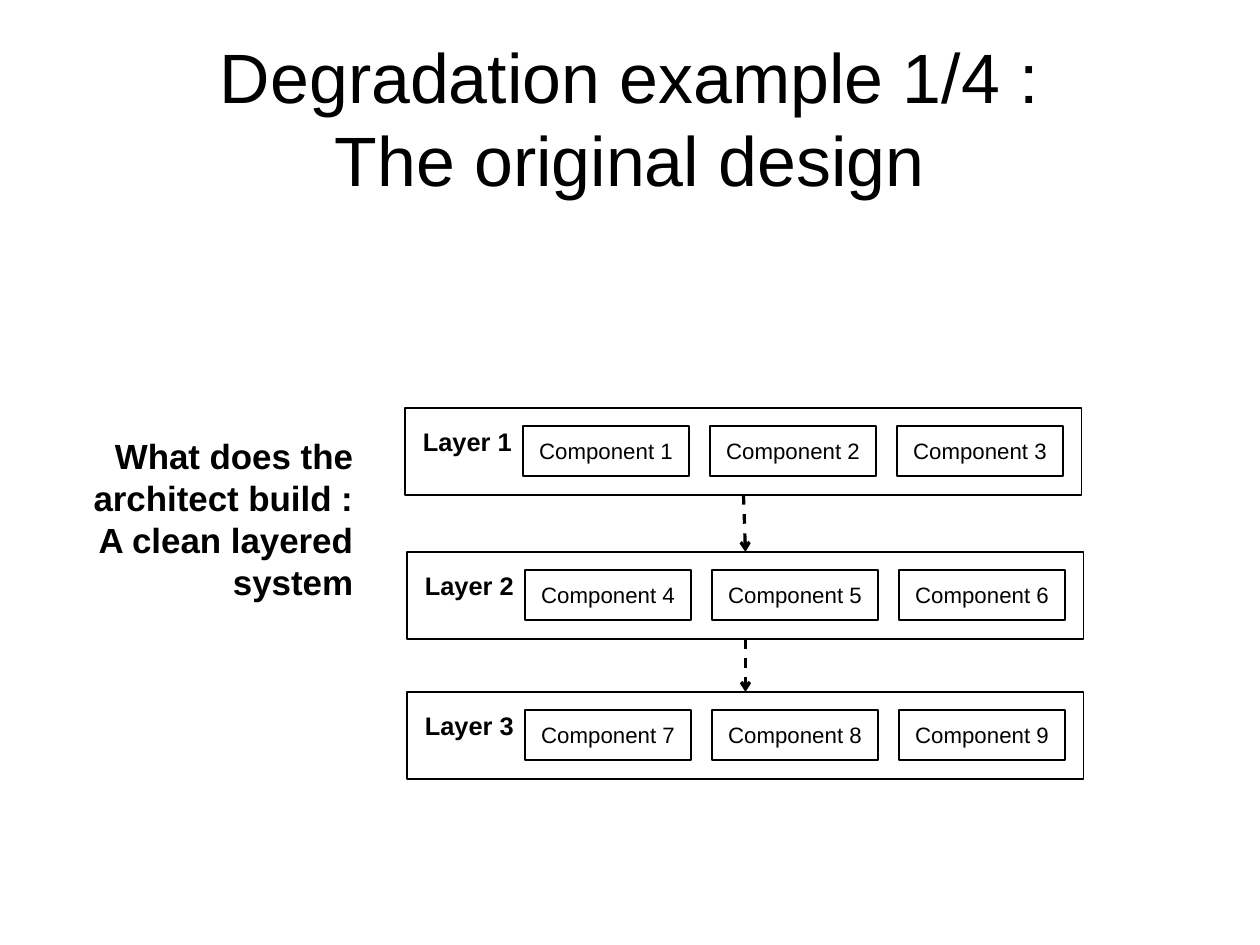
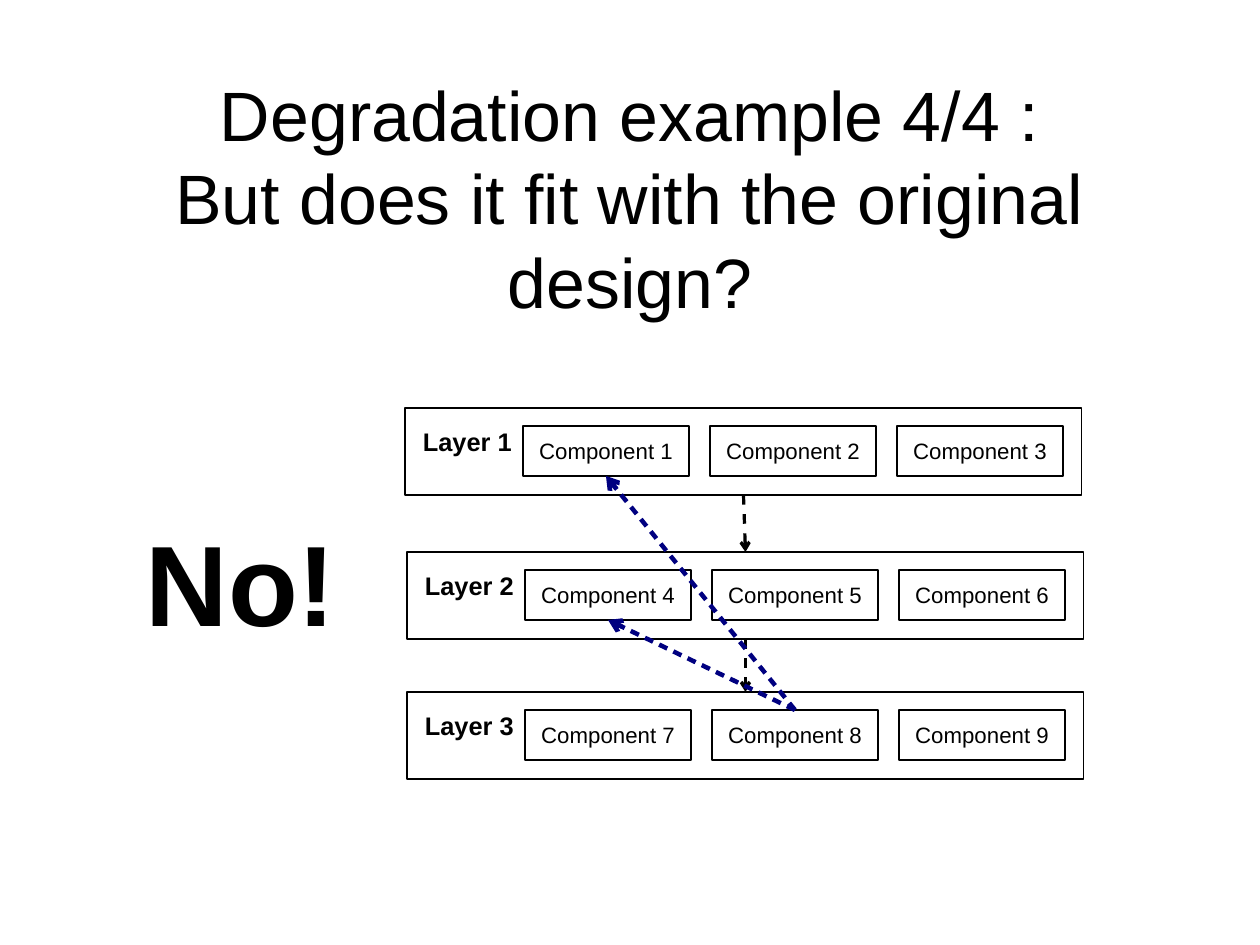
from lxml import etree
from pptx import Presentation
from pptx.dml.color import RGBColor
from pptx.enum.shapes import MSO_CONNECTOR, MSO_SHAPE
from pptx.enum.text import MSO_ANCHOR, PP_ALIGN
from pptx.oxml.ns import qn
from pptx.util import Emu, Pt

# Content: boxes are left, top, width, height in px
SLIDES = [
    {
        "title": "Degradation example 1/4 :\nThe original design",
        "title_box": (63, 30, 1134, 174),
        "note": "What does the architect build : A clean layered system",
        "note_box": (70, 435, 283, 180),
        "note_size": 22,
        "note_align": PP_ALIGN.RIGHT,
        "violations": [],
    },
    {
        "title": "Degradation example 4/4 :\nBut does it fit with the original design?",
        "title_box": (92, 67, 1076, 260),
        "note": "No!",
        "note_box": (119, 512, 244, 165),
        "note_size": 72,
        "note_align": PP_ALIGN.CENTER,
        "violations": [(8, 1), (8, 4)],
    },
]
LAYERS = [("Layer 1", 405, 408), ("Layer 2", 407, 552), ("Layer 3", 407, 692)]
PER_LAYER = 3

# Shared geometry and style
PX = 8000
SLIDE_W, SLIDE_H = 1260, 945
LAYER_W, LAYER_H, LAYER_INSET = 677, 87, 18
COMP_W, COMP_H, COMP_INSET = 166, 50, 5
COMP_DX, COMP_DY, COMP_PITCH = 118, 18, 187
TOP, BOTTOM = 0, 2
FONT = "Arial"
BLACK = RGBColor(0x00, 0x00, 0x00)
NAVY = RGBColor(0x00, 0x00, 0x80)


def px(*values):
    return [Emu(v * PX) for v in values]


def set_text(sp, text, size, bold=False, align=PP_ALIGN.LEFT,
             anchor=MSO_ANCHOR.TOP, inset=0):
    tf = sp.text_frame
    tf.word_wrap = True
    tf.vertical_anchor = anchor
    tf.margin_left, tf.margin_top, tf.margin_right, tf.margin_bottom = px(*[inset] * 4)
    p = tf.paragraphs[0]
    p.text = text
    p.alignment = align
    for r in p.runs:
        r.font.name, r.font.size = FONT, Pt(size)
        r.font.bold = bold
        r.font.color.rgb = BLACK


def add_label(s, box, text, size, **style):
    set_text(s.shapes.add_textbox(*px(*box)), text, size, **style)


def add_box(s, box, text, size, **style):
    sp = s.shapes.add_shape(MSO_SHAPE.RECTANGLE, *px(*box))
    sp.shadow.inherit = False
    sp.fill.background()
    sp.line.color.rgb = BLACK
    sp.line.width = Pt(0)
    set_text(sp, text, size, **style)
    return sp


def add_arrow(s, start, start_side, end, end_side, color, width, dash, gap):
    """Dashed arrow; dash and gap are in percent of the line width."""
    c = s.shapes.add_connector(MSO_CONNECTOR.STRAIGHT, 0, 0, 0, 0)
    c.begin_connect(start, start_side)
    c.end_connect(end, end_side)
    c.line.color.rgb = color
    c.line.width = Pt(width)
    ln = c.line._get_or_add_ln()
    pattern = etree.SubElement(ln, qn("a:custDash"))
    etree.SubElement(pattern, qn("a:ds"), d=str(dash * 1000), sp=str(gap * 1000))
    etree.SubElement(ln, qn("a:tailEnd"), type="arrow")
    etree.SubElement(ln.getparent(), qn("a:effectLst"))


def add_layers(s):
    """Draw the layered system and return its components by number."""
    layers, components = [], {}
    for row, (name, left, top) in enumerate(LAYERS):
        layers.append(add_box(s, (left, top, LAYER_W, LAYER_H), name, 16,
                              bold=True, inset=LAYER_INSET))
        for col in range(PER_LAYER):
            number = row * PER_LAYER + col + 1
            box = (left + COMP_DX + col * COMP_PITCH, top + COMP_DY, COMP_W, COMP_H)
            components[number] = add_box(
                s, box, f"Component {number}", 14, align=PP_ALIGN.CENTER,
                anchor=MSO_ANCHOR.MIDDLE, inset=COMP_INSET)
    for upper, lower in zip(layers, layers[1:]):
        add_arrow(s, upper, BOTTOM, lower, TOP, BLACK, 0, 300, 300)
    return components


def main():
    prs = Presentation()
    prs.slide_width, prs.slide_height = px(SLIDE_W, SLIDE_H)
    for spec_row in SLIDES:
        s = prs.slides.add_slide(prs.slide_layouts[6])
        # Title and side note
        add_label(s, spec_row["title_box"], spec_row["title"], 44,
                  align=PP_ALIGN.CENTER, anchor=MSO_ANCHOR.MIDDLE)
        add_label(s, spec_row["note_box"], spec_row["note"], spec_row["note_size"],
                  bold=True, align=spec_row["note_align"])
        # Diagram with the calls that break the layering
        components = add_layers(s)
        for caller, callee in spec_row["violations"]:
            add_arrow(s, components[caller], TOP, components[callee], BOTTOM,
                      NAVY, 2.83, 200, 150)
    prs.save("out.pptx")


if __name__ == "__main__":
    main()
